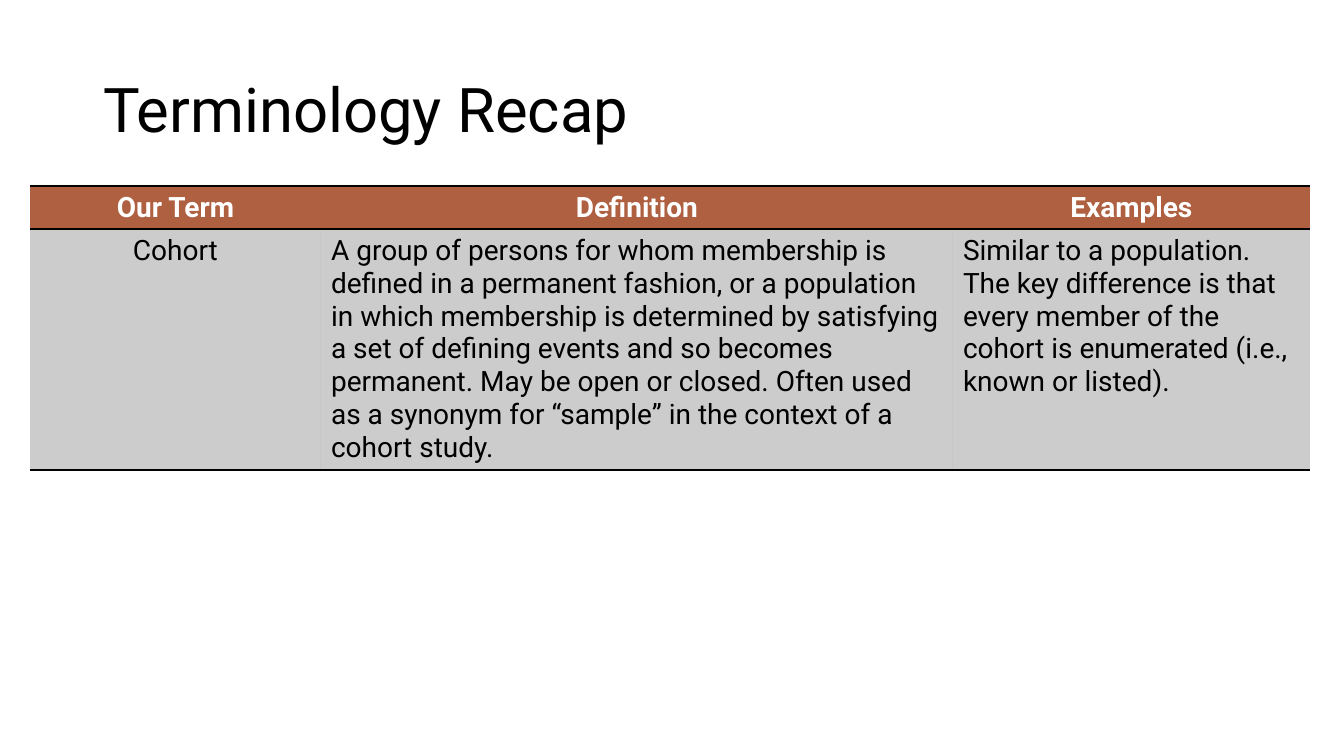
from dataclasses import dataclass

from lxml.etree import SubElement
from pptx import Presentation
from pptx.dml.color import RGBColor
from pptx.enum.text import MSO_ANCHOR, PP_ALIGN
from pptx.oxml import parse_xml
from pptx.oxml.ns import nsdecls, qn
from pptx.util import Pt

SCALE = 914400 / 100.8
NO_STYLE = "{2D5ABB26-0587-4C30-8999-92F81FD0307C}"


@dataclass(frozen=True)
class Theme:
    font: str = "Roboto"
    ink: str = "000000"
    paper: str = "FFFFFF"
    rust: str = "AE6041"
    tint: int = 20
    title: int = 44
    body: int = 20
    rule: int = 1


THEME = Theme()
COLS = (291, 632, 357)
ROWS = (43, 241)
HEADS = ("Our Term", "Definition", "Examples")
COHORT = (
    "Cohort",
    "A group of persons for whom membership is defined in a permanent "
    "fashion, or a population in which membership is determined by "
    "satisfying a set of defining events and so becomes permanent. May be "
    "open or closed. Often used as a synonym for “sample” in the context "
    "of a cohort study.",
    "Similar to a population. The key difference is that every member of "
    "the cohort is enumerated (i.e., known or listed).",
)


def px(count):
    return round(count * SCALE)


def write(frame, text, size=THEME.body, color=THEME.ink, bold=False,
          align=PP_ALIGN.LEFT, spacing=1.0):
    para = frame.paragraphs[0]
    para.alignment = align
    para.line_spacing = spacing
    run = para.add_run()
    run.text = text
    font = run.font
    font.name = THEME.font
    font.size = Pt(size)
    font.bold = bold
    font.color.rgb = RGBColor.from_string(color)


def paint(cell, color, alpha=100):
    """Fill a cell; alpha is its opacity in percent."""
    cell.fill.solid()
    cell.fill.fore_color.rgb = RGBColor.from_string(color)
    if alpha < 100:
        tone = cell.fill._xPr.find(".//" + qn("a:srgbClr"))
        SubElement(tone, qn("a:alpha"), val=str(alpha * 1000))


def edge(cell, *sides):
    """Rule the given sides, named in the order T, B."""
    props = cell._tc.get_or_add_tcPr()
    for spot, side in enumerate(sides):
        props.insert(spot, parse_xml(
            f'<a:ln{side} {nsdecls("a")} w="{Pt(THEME.rule)}"><a:solidFill>'
            f'<a:srgbClr val="{THEME.ink}"/></a:solidFill></a:ln{side}>'))


def add_title(slide, text):
    title = slide.shapes.title
    title.left, title.top = px(93), px(40)
    title.width, title.height = px(1159), px(146)
    frame = title.text_frame
    frame.word_wrap = True
    frame.vertical_anchor = MSO_ANCHOR.MIDDLE
    write(frame, text, size=THEME.title, spacing=0.9)


def add_terms(slide):
    shape = slide.shapes.add_table(
        len(ROWS), len(COLS), px(30), px(186), px(sum(COLS)), px(sum(ROWS)))
    table = shape.table
    table.first_row = table.horz_banding = False
    table._tbl.tblPr.find(qn("a:tableStyleId")).text = NO_STYLE
    for col, width in zip(table.columns, COLS):
        col.width = px(width)
    for row, height in zip(table.rows, ROWS):
        row.height = px(height)
    for col, (head, entry) in enumerate(zip(HEADS, COHORT)):
        cell = table.cell(0, col)
        write(cell.text_frame, head, color=THEME.paper, bold=True,
              align=PP_ALIGN.CENTER)
        paint(cell, THEME.rust)
        edge(cell, "T", "B")
        cell = table.cell(1, col)
        write(cell.text_frame, entry,
              align=PP_ALIGN.LEFT if col else PP_ALIGN.CENTER)
        paint(cell, THEME.ink, alpha=THEME.tint)
        edge(cell, "T", "B")


def main():
    deck = Presentation()
    deck.slide_width, deck.slide_height = px(1344), px(756)
    slide = deck.slides.add_slide(deck.slide_layouts.get_by_name("Title Only"))
    add_title(slide, "Terminology Recap")
    add_terms(slide)
    deck.save("out.pptx")


if __name__ == "__main__":
    main()
